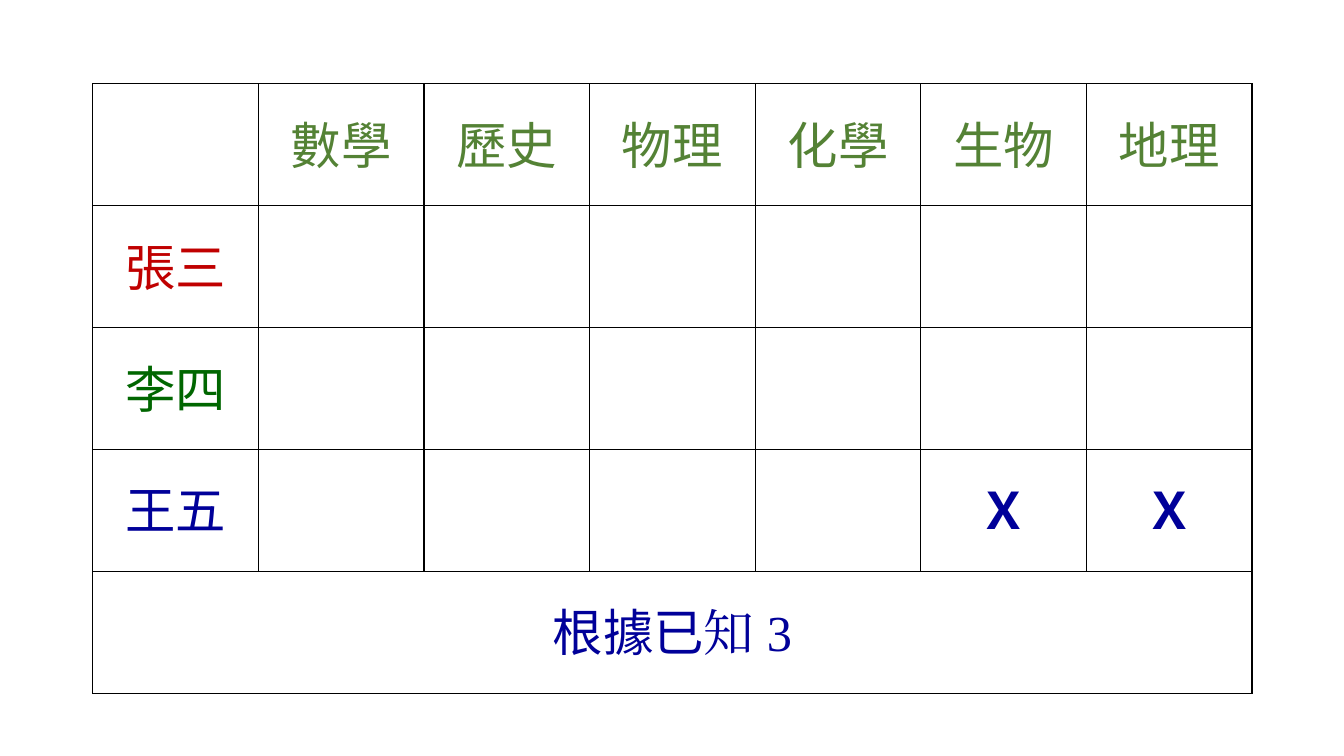
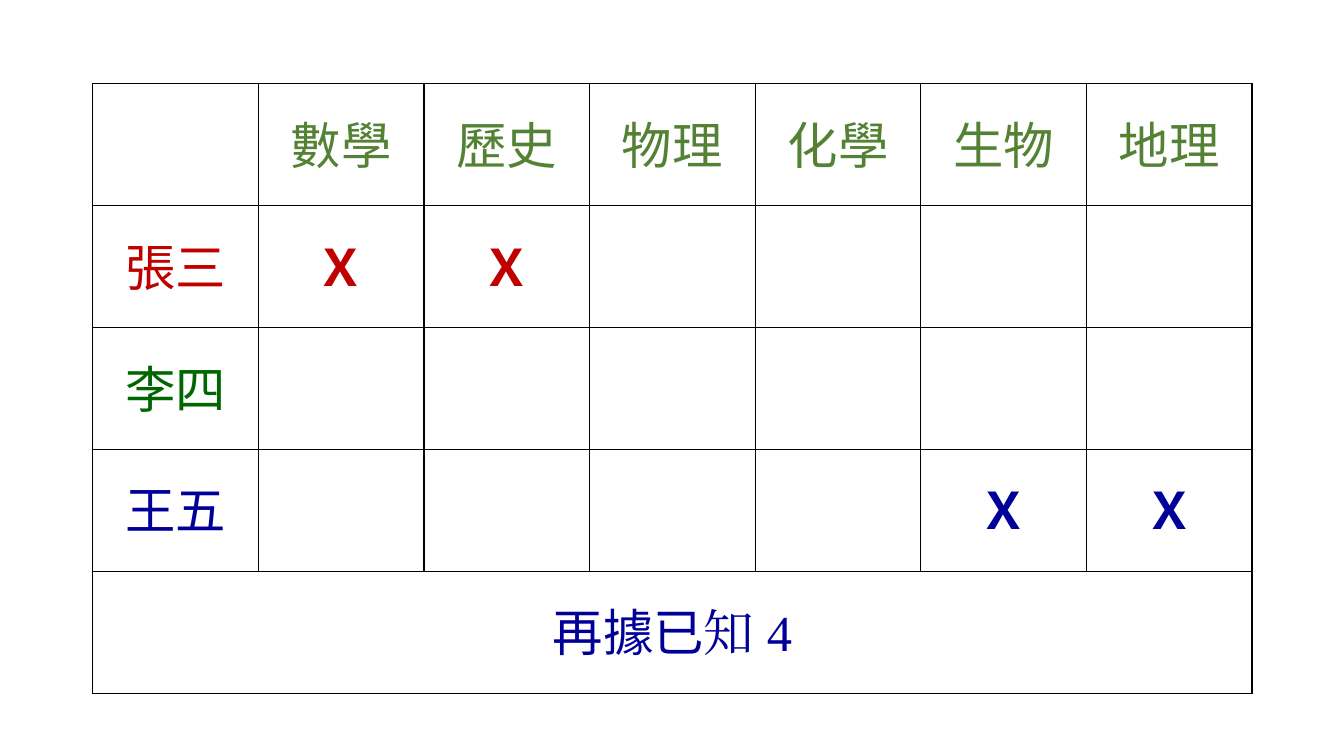
from dataclasses import dataclass

from lxml.etree import SubElement
from pptx import Presentation
from pptx.dml.color import RGBColor
from pptx.enum.text import MSO_ANCHOR, PP_ALIGN
from pptx.oxml import parse_xml
from pptx.oxml.ns import nsdecls, qn
from pptx.presentation import Presentation as Deck
from pptx.table import _Cell
from pptx.util import Inches, Pt

COLORS = {
    "subject": "548235",
    "張三": "C00000",
    "李四": "006600",
    "王五": "000099",
    "conclusion": "000099",
    "border": "000000",
}
SUBJECTS = ["數學", "歷史", "物理", "化學", "生物", "地理"]
STUDENTS = ["張三", "李四", "王五"]
COLUMNS = len(SUBJECTS) + 1
ROWS = len(STUDENTS) + 2
LEFT, TOP = 0.92, 0.83
GRID_WIDTH, GRID_HEIGHT = 11.5, 6.05
BODY_FONT, NUMBER_FONT = "Lato", "Times New Roman"
CROSS = "Ｘ"


@dataclass(frozen=True)
class Deduction:
    excluded: dict[str, list[str]]
    conclusion: list[tuple[str, str]]


DEDUCTIONS = [
    Deduction(
        {"王五": ["生物", "地理"]},
        [("根據已", BODY_FONT), ("知 3", NUMBER_FONT)],
    ),
    Deduction(
        {"張三": ["數學", "歷史"], "王五": ["生物", "地理"]},
        [("再據已", BODY_FONT), ("知 4", NUMBER_FONT)],
    ),
]


def write(cell: _Cell, text: str, *, color: str, font: str = BODY_FONT,
          size: int = 36, bold: bool = False) -> None:
    paragraph = cell.text_frame.paragraphs[0]
    paragraph.alignment = PP_ALIGN.CENTER
    run = paragraph.add_run()
    run.text = text
    run.font.size = Pt(size)
    run.font.bold = bold
    run.font.color.rgb = RGBColor.from_string(COLORS[color])
    run.font.name = font
    SubElement(run.font._element, qn("a:ea"), typeface=font)


def frame(cell: _Cell) -> None:
    cell.vertical_anchor = MSO_ANCHOR.MIDDLE
    cell.fill.background()
    properties = cell._tc.get_or_add_tcPr()
    for position, side in enumerate(("lnL", "lnR", "lnT", "lnB")):
        properties.insert(position, parse_xml(
            f'<a:{side} {nsdecls("a")} w="{Pt(1)}"><a:solidFill>'
            f'<a:srgbClr val="{COLORS["border"]}"/></a:solidFill></a:{side}>'
        ))


def add_deduction(deck: Deck, deduction: Deduction) -> None:
    slide = deck.slides.add_slide(deck.slide_layouts[6])
    grid = slide.shapes.add_table(
        ROWS, COLUMNS, Inches(LEFT), Inches(TOP),
        Inches(GRID_WIDTH), Inches(GRID_HEIGHT),
    ).table
    grid.first_row = grid.horz_banding = False
    for cell in grid.iter_cells():
        frame(cell)

    for column, subject in enumerate(SUBJECTS, start=1):
        write(grid.cell(0, column), subject, color="subject")
    for row, student in enumerate(STUDENTS, start=1):
        write(grid.cell(row, 0), student, color=student)
        for subject in deduction.excluded.get(student, []):
            column = SUBJECTS.index(subject) + 1
            write(grid.cell(row, column), CROSS, color=student, bold=True)

    conclusion = grid.cell(ROWS - 1, 0)
    conclusion.merge(grid.cell(ROWS - 1, COLUMNS - 1))
    for text, font in deduction.conclusion:
        write(conclusion, text, color="conclusion", font=font)


def main() -> None:
    deck = Presentation()
    deck.slide_width, deck.slide_height = Inches(13.33), Inches(7.5)
    for deduction in DEDUCTIONS:
        add_deduction(deck, deduction)
    deck.save("out.pptx")


if __name__ == "__main__":
    main()
